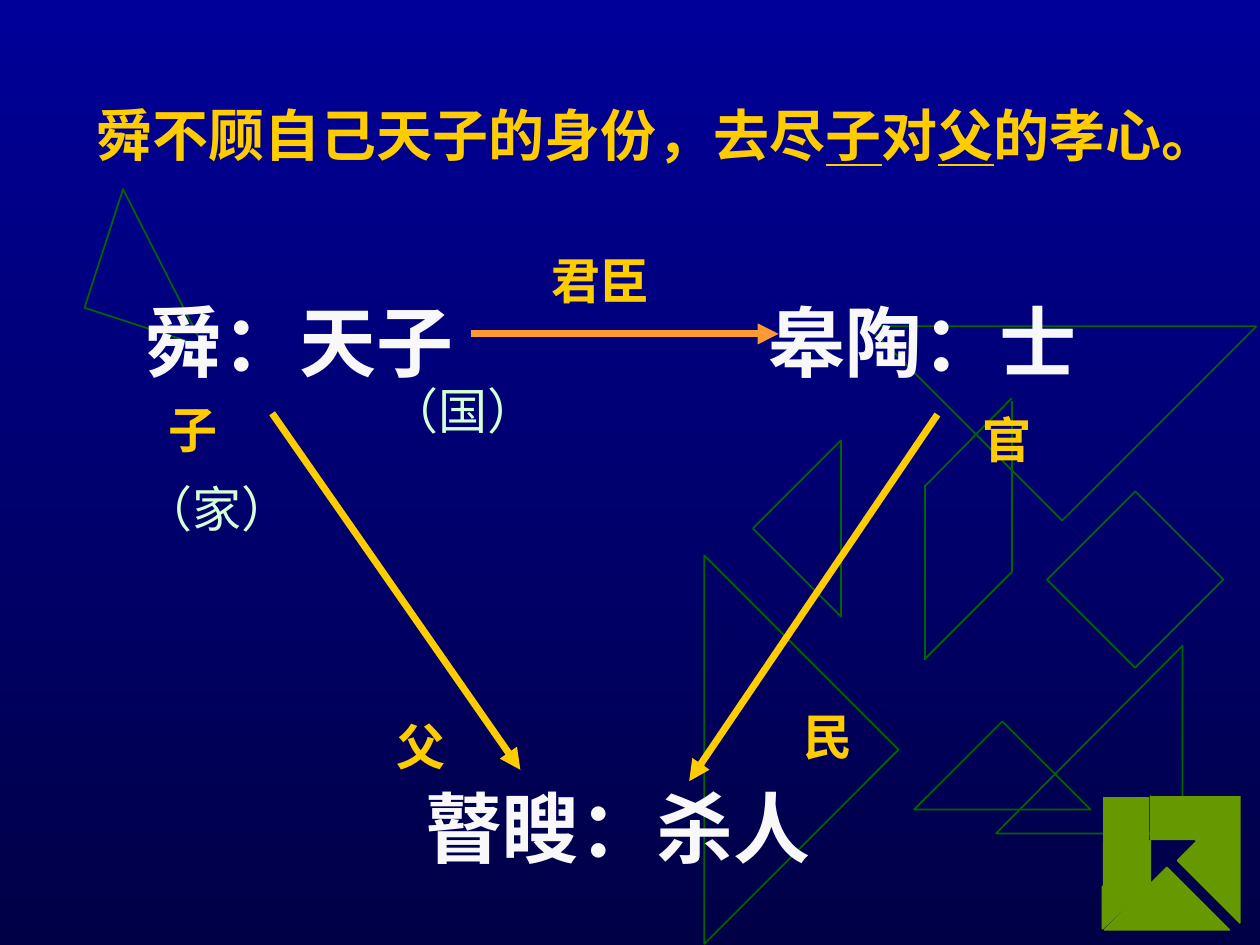
from dataclasses import dataclass

import lxml.etree
import pptx
import pptx.dml.color
import pptx.enum.lang
import pptx.enum.shapes
import pptx.enum.text
import pptx.oxml.ns
import pptx.util

SCALE = 9144
HUES = {
    "top": "000099",
    "base": "000047",
    "trace": "006600",
    "leaf": "669900",
    "gold": "FFCC00",
    "flame": "FF9933",
    "white": "F8F8F8",
    "mint": "D5FFD5",
}
KIND = pptx.enum.shapes.MSO_SHAPE
ALIGN = pptx.enum.text.PP_ALIGN
TRI, BOX, GEM = KIND.RIGHT_TRIANGLE, KIND.RECTANGLE, KIND.DIAMOND
CJK = "Noto Sans CJK SC"


@dataclass
class Form:
    left: int
    top: int
    width: int
    height: int
    turn: int = 0
    flip: bool = False
    kind: int = TRI


@dataclass
class Line:
    x1: int
    y1: int
    x2: int
    y2: int
    hue: str = "trace"
    weight: int = 1
    arrow: bool = False


@dataclass
class Label:
    left: int
    top: int
    text: str
    width: int = 173
    height: int = 57
    size: int = 28
    font: str = "DejaVu Sans"
    hue: str = "gold"
    bold: bool = True
    align: int = ALIGN.CENTER
    space: float = 1.0
    under: str = ""


TRACES = [
    Form(80, 163, 99, 99, 108, True),
    Form(746, 593, 99, 99, 225, True),
    Form(790, 513, 149, 148, 270),
    Form(831, 390, 140, 140, kind=GEM),
    Form(450, 486, 218, 218, 225),
    Form(618, 370, 99, 99, 135, True),
    Form(734, 150, 218, 218, 315),
]
EDGES = [
    Line(803, 318, 803, 454),
    Line(734, 385, 734, 524),
    Line(734, 523, 803, 454),
    Line(734, 386, 803, 316),
]
LEAVES = [
    Form(876, 633, 35, 36, kind=BOX),
    Form(949, 648, 70, 70, 45),
    Form(925, 608, 49, 49, 315),
    Form(891, 703, 70, 70, 135),
    Form(913, 632, 35, 34),
    Form(876, 669, 34, 34, 180, True),
]
FOLD = [(875, 737), (913, 701), (913, 667), (912, 668), (875, 704)]
ARROWS = [
    Line(216, 328, 413, 611, "gold", 4, True),
    Line(744, 329, 547, 620, "gold", 4, True),
    Line(374, 265, 618, 265, "flame", 4, True),
]
ROLE = dict(width=340, height=90, size=44, font="Times New Roman",
            hue="white", align=ALIGN.LEFT, space=1.05)
LABELS = [
    Label(106, 225, "舜：天子", **ROLE),
    Label(600, 225, "皋陶：士", **ROLE),
    Label(328, 611, "瞽瞍：杀人", **ROLE),
    Label(390, 194, "君臣"),
    Label(67, 312, "子"),
    Label(248, 564, "父"),
    Label(571, 556, "民"),
    Label(713, 320, "官"),
    Label(67, 75, "舜不顾自己天子的身份，去尽|子|对|父|的孝心。", 910, 64, 32,
          align=ALIGN.LEFT, under="子父"),
    Label(86, 375, "（家）", font=CJK, hue="mint", bold=False),
    Label(281, 297, "（国）", font="Noto Sans CJK JP", hue="mint", bold=False),
]


def px(value: int) -> int:
    return value * SCALE


def tint(name: str) -> pptx.dml.color.RGBColor:
    return pptx.dml.color.RGBColor.from_string(HUES[name])


def add_sub(node, tag: str, **attrs: str) -> None:
    lxml.etree.SubElement(node, pptx.oxml.ns.qn(tag), **attrs)


def style(shape, hue: str, solid: bool) -> None:
    shape.shadow.inherit = False
    if solid:
        shape.fill.solid()
        shape.fill.fore_color.rgb = tint(hue)
    else:
        shape.fill.background()
    shape.line.color.rgb = tint(hue)
    shape.line.width = pptx.util.Pt(1)


def draw_form(slide, form: Form, hue: str, solid: bool) -> None:
    shape = slide.shapes.add_shape(
        form.kind, px(form.left), px(form.top), px(form.width), px(form.height))
    shape.rotation = form.turn
    if form.flip:
        shape.element.spPr.find(pptx.oxml.ns.qn("a:xfrm")).set("flipH", "1")
    style(shape, hue, solid)


def draw_fold(slide) -> None:
    pen = slide.shapes.build_freeform(*FOLD[0], scale=SCALE)
    pen.add_line_segments(FOLD[1:], close=True)
    style(pen.convert_to_shape(), "leaf", True)


def draw_line(slide, line: Line) -> None:
    link = slide.shapes.add_connector(
        pptx.enum.shapes.MSO_CONNECTOR.STRAIGHT,
        px(line.x1), px(line.y1), px(line.x2), px(line.y2))
    link.line.color.rgb = tint(line.hue)
    link.line.width = pptx.util.Pt(line.weight)
    props = link.element.spPr
    if line.arrow:
        add_sub(props.find(pptx.oxml.ns.qn("a:ln")), "a:tailEnd", type="triangle")
    add_sub(props, "a:effectLst")


def draw_label(slide, label: Label) -> None:
    box = slide.shapes.add_textbox(
        px(label.left), px(label.top), px(label.width), px(label.height))
    frame = box.text_frame
    frame.word_wrap = True
    para = frame.paragraphs[0]
    para.alignment = label.align
    para.line_spacing = label.space
    for part in label.text.split("|"):
        run = para.add_run()
        run.text = part
        font = run.font
        font.name = label.font
        font.size = pptx.util.Pt(label.size)
        font.bold = label.bold
        font.color.rgb = tint(label.hue)
        font.language_id = pptx.enum.lang.MSO_LANGUAGE_ID.SIMPLIFIED_CHINESE
        if part in label.under:
            font.underline = True
        face = label.font if "CJK" in label.font else CJK
        add_sub(run.font._element, "a:ea", typeface=face)


def paint(slide) -> None:
    fill = slide.background.fill
    fill.gradient()
    fill.gradient_angle = 270
    for stop, hue, place in zip(fill.gradient_stops, ("top", "base"), (0, 1)):
        stop.color.rgb = tint(hue)
        stop.position = place


def main() -> None:
    deck = pptx.Presentation()
    deck.slide_width, deck.slide_height = px(1000), px(750)
    slide = deck.slides.add_slide(deck.slide_layouts[6])
    paint(slide)
    for form in TRACES:
        draw_form(slide, form, "trace", False)
    for line in EDGES:
        draw_line(slide, line)
    for form in LEAVES:
        draw_form(slide, form, "leaf", True)
    draw_fold(slide)
    for line in ARROWS:
        draw_line(slide, line)
    for label in LABELS:
        draw_label(slide, label)
    deck.save("out.pptx")


if __name__ == "__main__":
    main()
